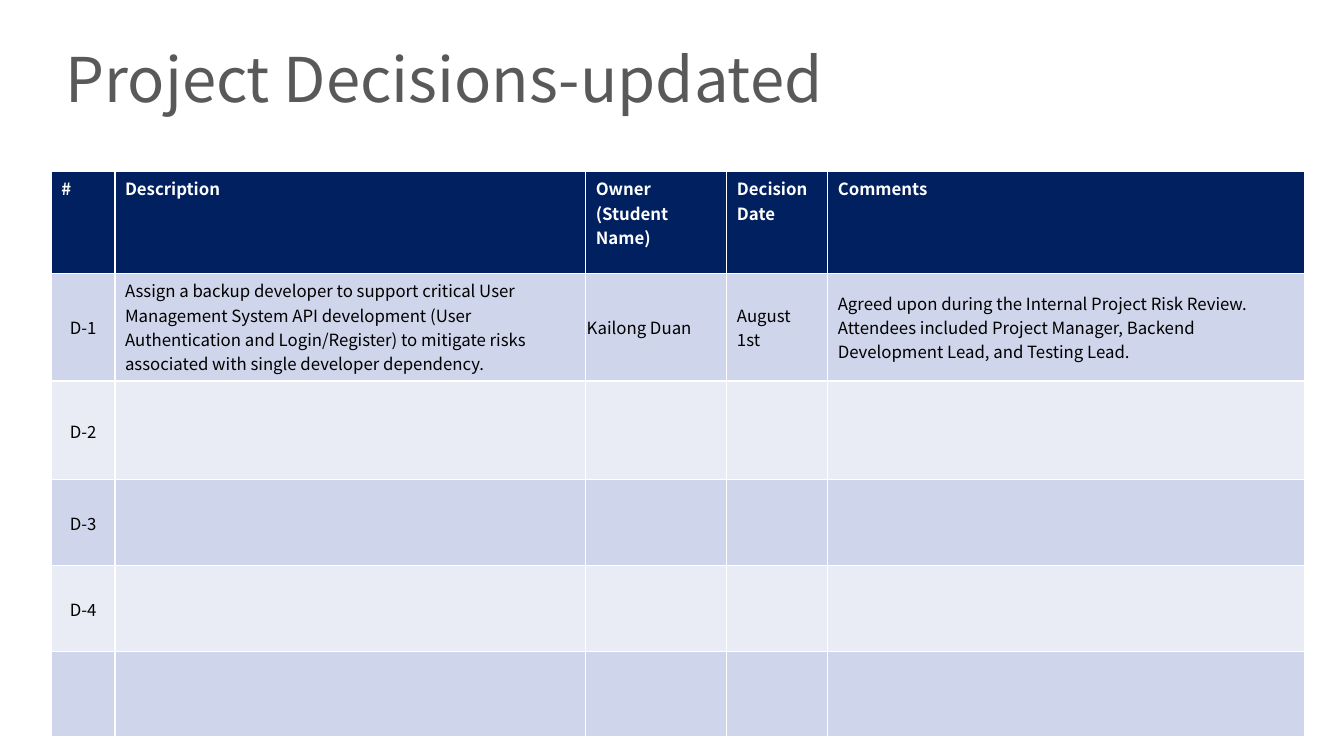
from lxml.etree import SubElement
from pptx import Presentation
from pptx.dml.color import RGBColor
from pptx.enum.text import MSO_ANCHOR, PP_ALIGN
from pptx.oxml.ns import qn
from pptx.util import Inches, Pt

FONT = "Noto Sans CJK SC"
COLORS = {
    "title": "595959",
    "head": "002060",
    "odd": "CFD5EA",
    "even": "E9EBF5",
    "white": "FFFFFF",
    "black": "000000",
}
WIDTHS = [0.63, 4.67, 1.4, 1, 4.73]
HEIGHTS = [1.01, 1.07, 0.98, 0.85, 0.85, 0.85]
TIGHT = (0.01, 0.01, 0.01, 0)
ROWS = [
    ["#", "Description", "Owner\n(Student Name)", "Decision Date", "Comments"],
    [
        "D-1",
        "Assign a backup developer to support critical User Management System "
        "API development (User Authentication and Login/Register) to mitigate "
        "risks associated with single developer dependency.",
        "Kailong Duan",
        "August 1st",
        "Agreed upon during the Internal Project Risk Review. Attendees included "
        "Project Manager, Backend Development Lead, and Testing Lead.",
    ],
    ["D-2"],
    ["D-3"],
    ["D-4"],
    [],
]


def color(name):
    return RGBColor.from_string(COLORS[name])


def style(frame, size, ink, bold=False):
    for para in frame.paragraphs:
        for run in para.runs:
            font = run.font
            font.name, font.size, font.bold = FONT, Pt(size), bold
            font.color.rgb = color(ink)


def inset(item, left, top, right, bottom):
    item.margin_left, item.margin_top = Inches(left), Inches(top)
    item.margin_right, item.margin_bottom = Inches(right), Inches(bottom)


def border(cell):
    """Draw white lines round a cell; schema order puts them before the fill."""
    props = cell._tc.get_or_add_tcPr()
    for side in "LRTB":
        line = SubElement(props, qn(f"a:ln{side}"), w=str(Pt(1)))
        fill = SubElement(line, qn("a:solidFill"))
        SubElement(fill, qn("a:srgbClr"), val=COLORS["white"])


def add_title(slide, left, top, width, height):
    box = slide.shapes.add_textbox(
        Inches(left), Inches(top), Inches(width), Inches(height))
    frame = box.text_frame
    frame.word_wrap = True
    frame.vertical_anchor = MSO_ANCHOR.MIDDLE
    inset(frame, 0.08, 0, 0.08, 0)
    frame.text = "Project Decisions-updated"
    frame.paragraphs[0].line_spacing = 0.75
    style(frame, 44, "title")


def fill_cell(cell, row, col, text):
    head = row == 0
    border(cell)
    cell.fill.solid()
    band = "odd" if row % 2 else "even"
    cell.fill.fore_color.rgb = color("head" if head else band)
    if not text:
        return
    cell.text_frame.text = text
    style(cell.text_frame, 12, "white" if head else "black", head)
    if head:
        return
    cell.vertical_anchor = MSO_ANCHOR.MIDDLE
    if col in (0, 2):
        inset(cell, *TIGHT)
    if col == 0:
        cell.text_frame.paragraphs[0].alignment = PP_ALIGN.CENTER


def add_log(slide, left, top):
    """Place the table of decisions."""
    table = slide.shapes.add_table(
        len(HEIGHTS), len(WIDTHS), Inches(left), Inches(top),
        Inches(sum(WIDTHS)), Inches(sum(HEIGHTS))).table
    for col, width in zip(table.columns, WIDTHS):
        col.width = Inches(width)
    for row, height in enumerate(HEIGHTS):
        table.rows[row].height = Inches(height)
        for col in range(len(WIDTHS)):
            text = ROWS[row][col] if col < len(ROWS[row]) else ""
            fill_cell(table.cell(row, col), row, col, text)


def main():
    deck = Presentation()
    deck.slide_width, deck.slide_height = Inches(13.33), Inches(7.5)
    slide = deck.slides.add_slide(deck.slide_layouts[6])
    add_title(slide, 0.57, 0.26, 10.93, 1.19)
    add_log(slide, 0.51, 1.7)
    deck.save("out.pptx")


if __name__ == "__main__":
    main()
